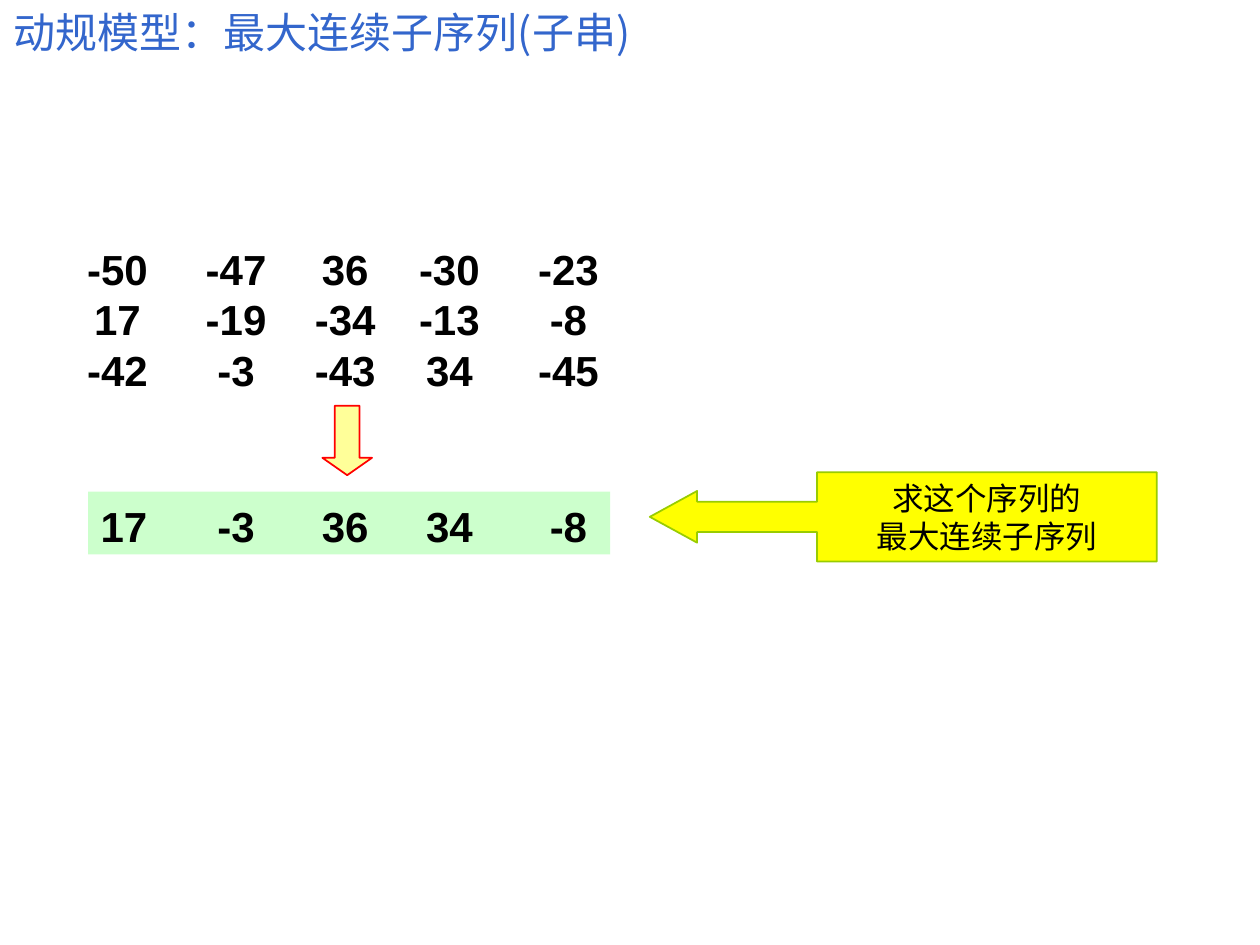
from lxml.etree import SubElement
from pptx import Presentation
from pptx.dml.color import RGBColor
from pptx.enum.shapes import MSO_SHAPE
from pptx.enum.text import MSO_ANCHOR, PP_ALIGN
from pptx.oxml.ns import qn
from pptx.util import Cm, Pt

# Centres of the five number columns, in cm from the left edge of the slide
COLUMNS = [2.37, 4.76, 6.96, 9.06, 11.46]
MATRIX = [
    [-50, -47, 36, -30, -23],
    [17, -19, -34, -13, -8],
    [-42, -3, -43, 34, -45],
]
SEQUENCE = [17, -3, 36, 34, -8]
MARGIN = 0.25


def colour(value):
    return RGBColor.from_string(value)


def tabbed(numbers):
    return "\t".join(str(number) for number in numbers)


class SlideBuilder:
    """Holds the text style and the slide being built."""

    def __init__(self, slide, font="Arial", text_colour="000000"):
        self.slide = slide
        self.font = font
        self.text_colour = text_colour

    def text_box(self, left, top, width, height, lines, **style):
        box = self.slide.shapes.add_textbox(Cm(left), Cm(top), Cm(width), Cm(height))
        self.add_text(box, lines, **style)
        return box

    def shape(self, kind, left, top, width, height, fill, line=None, adjustments=()):
        shape = self.slide.shapes.add_shape(kind, Cm(left), Cm(top), Cm(width), Cm(height))
        shape.shadow.inherit = False
        shape.fill.solid()
        shape.fill.fore_color.rgb = colour(fill)
        if line:
            shape.line.color.rgb = colour(line)
            shape.line.width = Pt(1)
        else:
            shape.line.fill.background()
        for index, value in enumerate(adjustments):
            shape.adjustments[index] = value
        return shape

    def add_text(self, box, lines, size=24, bold=False, font=None, text_colour=None,
                 align=PP_ALIGN.LEFT, anchor=MSO_ANCHOR.TOP, wrap=True, tabs=(),
                 spacing=None, top_margin=0.13):
        frame = box.text_frame
        frame.word_wrap = wrap
        frame.vertical_anchor = anchor
        frame.margin_left = frame.margin_right = Cm(MARGIN)
        frame.margin_top, frame.margin_bottom = Cm(top_margin), Cm(0.13)
        for index, line in enumerate(lines):
            para = frame.paragraphs[0] if index == 0 else frame.add_paragraph()
            self.add_centre_tabs(para, tabs)
            para.alignment = align
            if spacing:
                para.line_spacing = Pt(spacing)
            span = para.add_run()
            span.text = line
            span.font.size = Pt(size)
            span.font.bold = bold
            span.font.name = font or self.font
            span.font.color.rgb = colour(text_colour or self.text_colour)
            east_asian = SubElement(span.font._element, qn("a:ea"))
            east_asian.set("typeface", "Noto Sans CJK SC")

    def add_centre_tabs(self, para, tabs):
        if tabs:
            tab_list = SubElement(para._p.get_or_add_pPr(), qn("a:tabLst"))
            for position in tabs:
                SubElement(tab_list, qn("a:tab"), pos=str(Cm(position)), algn="ctr")


def main():
    deck = Presentation()
    deck.slide_width, deck.slide_height = Cm(25.4), Cm(19.05)
    builder = SlideBuilder(deck.slides.add_slide(deck.slide_layouts[6]))

    builder.text_box(0.03, 0, 14.88, 1.27, ["动规模型：最大连续子序列(子串)"],
                     font="Noto Sans CJK SC", text_colour="3366CC")

    number_style = dict(bold=True, spacing=28.8, top_margin=0.19)
    matrix_left = 1.5
    builder.text_box(matrix_left, 4.72, 12, 3.3,
                     ["\t" + tabbed(row) for row in MATRIX],
                     tabs=[centre - matrix_left - MARGIN for centre in COLUMNS],
                     **number_style)

    sequence_left = 1.78
    sequence = builder.shape(MSO_SHAPE.RECTANGLE, sequence_left, 9.91, 10.52, 1.27, "CCFFCC")
    builder.add_text(sequence, [tabbed(SEQUENCE)],
                     tabs=[centre - sequence_left - MARGIN for centre in COLUMNS[1:]],
                     **number_style)

    builder.shape(MSO_SHAPE.DOWN_ARROW, 6.5, 8.18, 1, 1.4, "FFFF99", "FF0000", (0.5, 0.35))

    callout = builder.shape(MSO_SHAPE.LEFT_ARROW_CALLOUT, 13.1, 9.52, 10.22, 1.8,
                            "FFFF00", "99CC00", (0.34, 0.29, 0.53, 0.67))
    builder.add_text(callout, ["求这个序列的", "最大连续子序列"], size=18,
                     align=PP_ALIGN.CENTER, anchor=MSO_ANCHOR.MIDDLE, wrap=False)

    deck.save("out.pptx")


if __name__ == "__main__":
    main()
